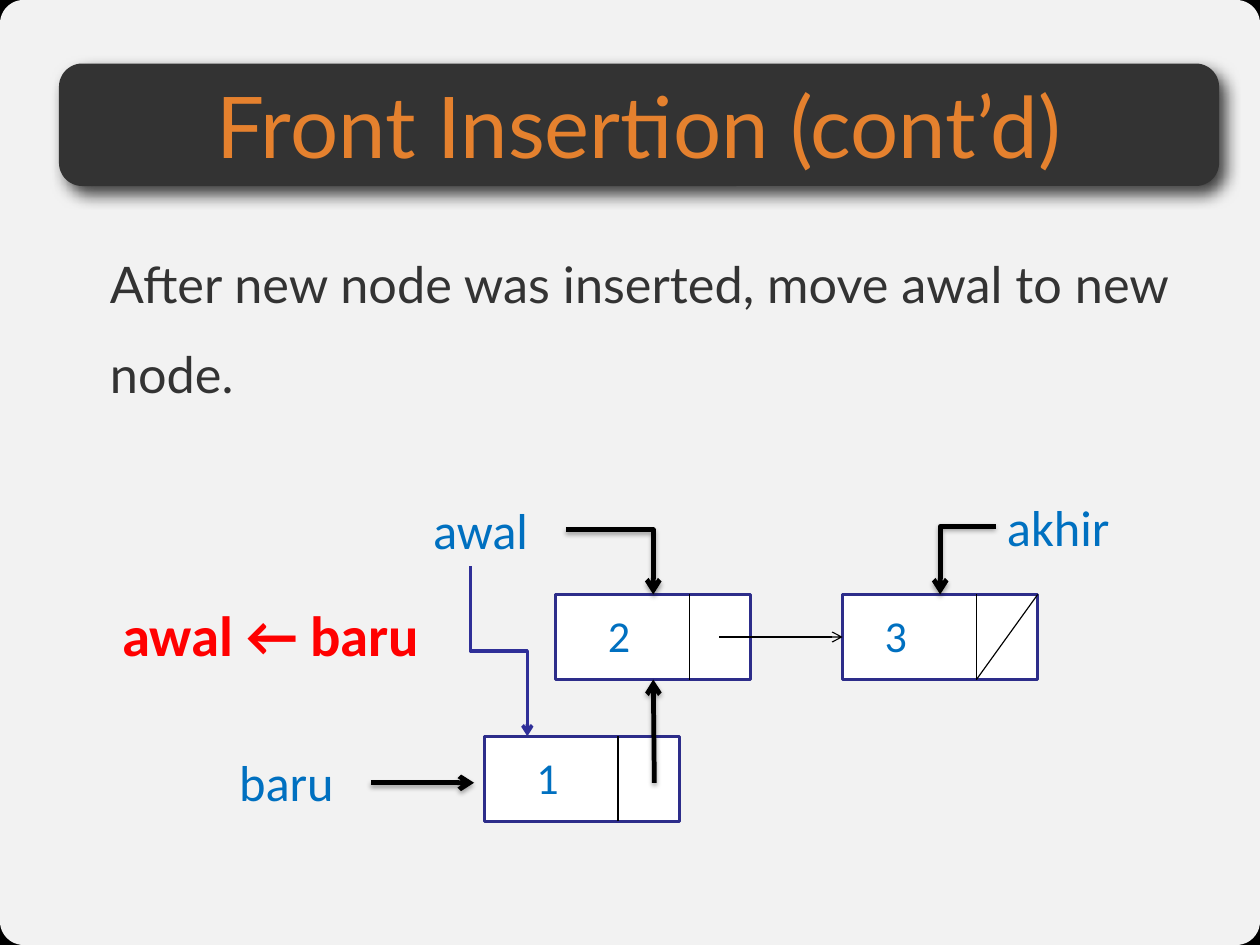
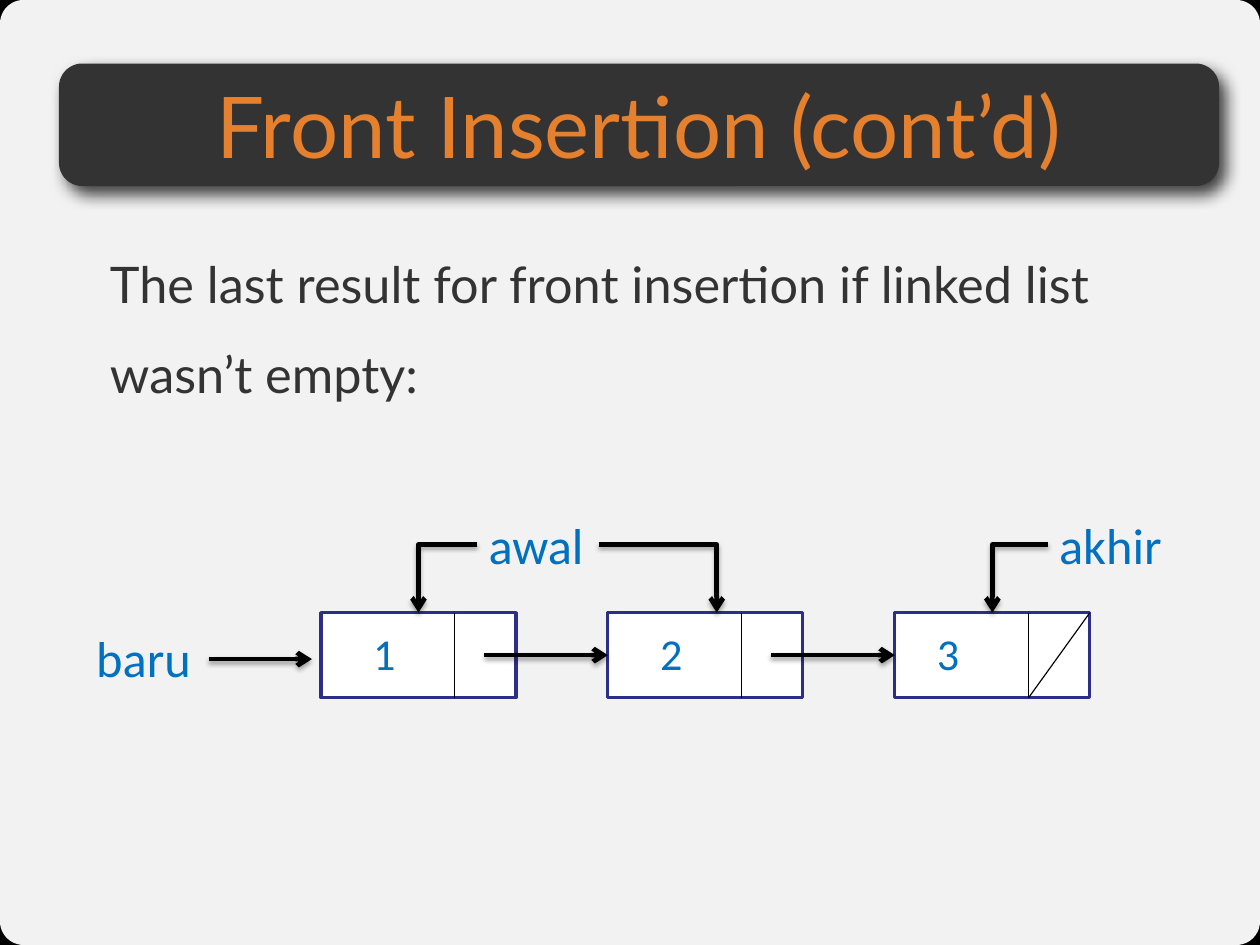
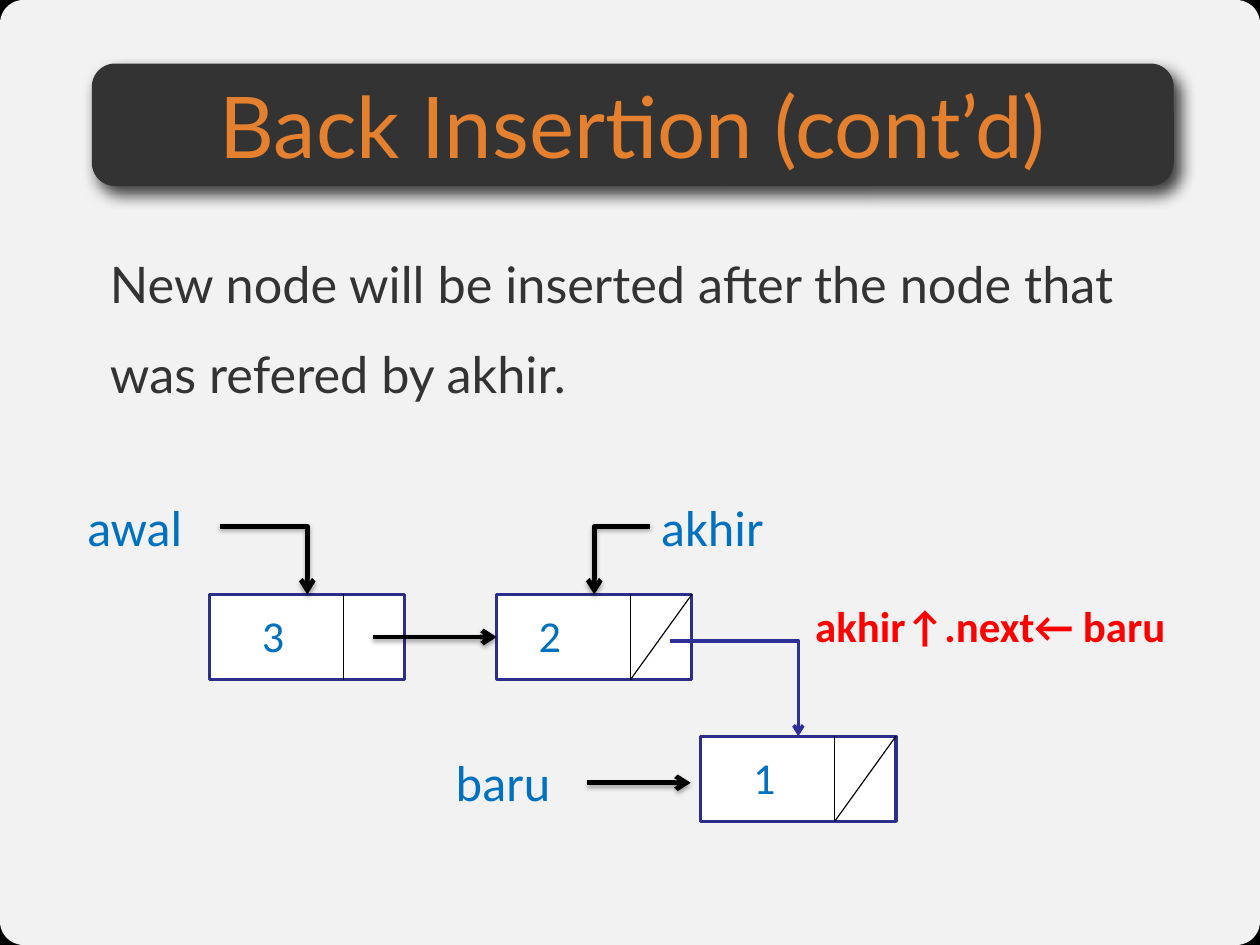
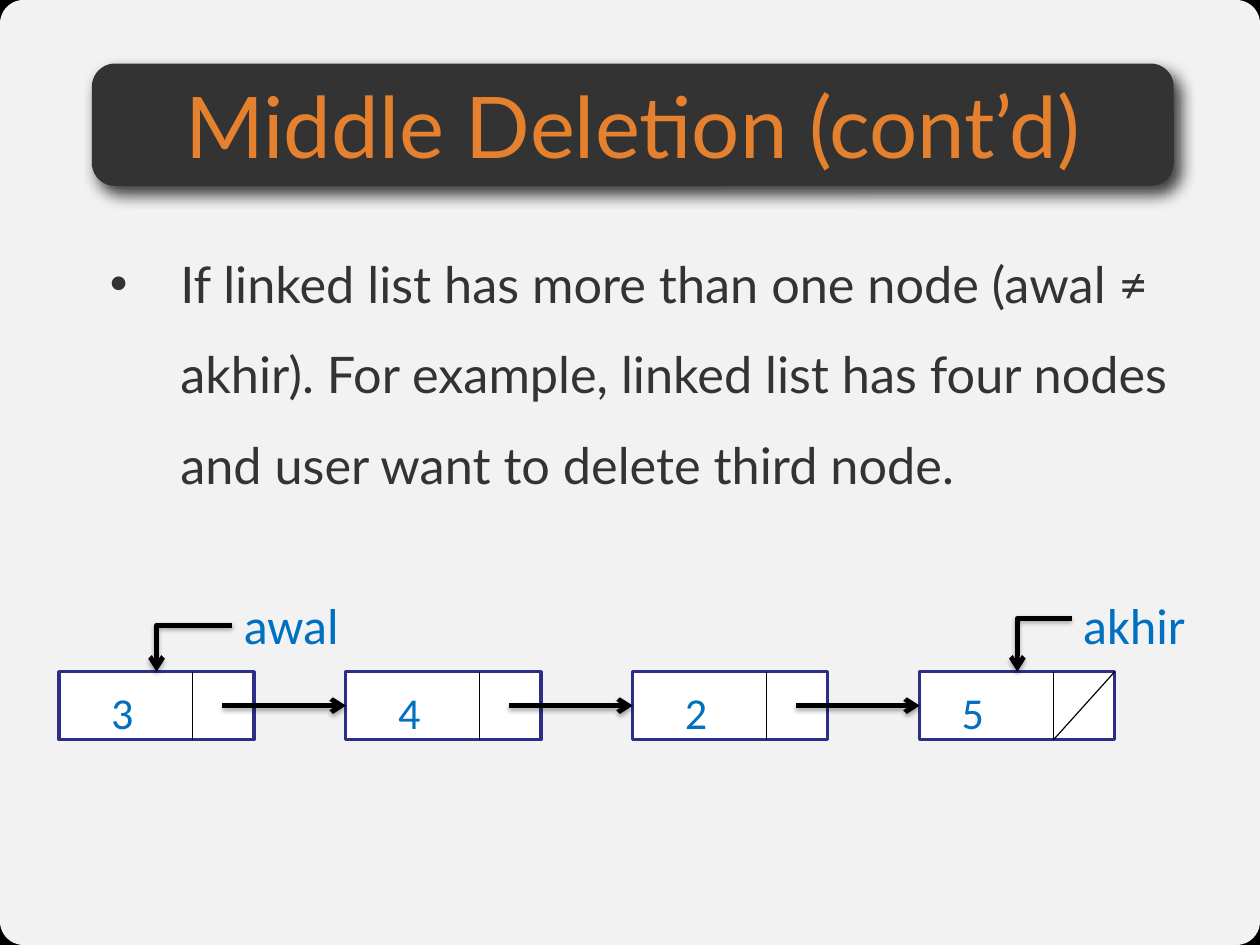
from dataclasses import dataclass

from lxml import etree
from pptx import Presentation
from pptx.dml.color import RGBColor as RGB
from pptx.enum.shapes import MSO_CONNECTOR as CXN, MSO_SHAPE as SHAPE
from pptx.enum.text import MSO_ANCHOR as ANCHOR, PP_ALIGN as ALIGN
from pptx.oxml.ns import qn
from pptx.util import Inches, Pt


@dataclass(frozen=True)
class Theme:
    # colours
    backdrop: str = "000000"
    panel: str = "FFFFFF"
    band: str = "333333"
    title: str = "E5812E"
    body: str = "333333"
    label: str = "0070C0"
    code: str = "FF0000"
    ink: str = "000000"
    node_line: str = "2D2D8A"
    new_link: str = "2F2F98"
    # fonts and type sizes
    head_font: str = "Lato"
    label_font: str = "Calibri"
    title_pt: float = 54
    body_pt: float = 32
    label_pt: float = 32
    value_pt: float = 28
    # line widths
    thin: float = 0.75
    node_pt: float = 2
    new_pt: float = 2.25
    thick: float = 3
    # shadows: opacity %, blur pt, distance pt, angle
    band_shadow: tuple = (75, 10, 6, 51)
    arrow_shadow: tuple = (35, 3.1, 1.8, 90)


T = Theme()
SLIDE_W, SLIDE_H = 11.11, 8.33
NODE_W, NODE_H, PITCH = 1.72, 0.75, 2.53
DIVIDER, LINK_START = 1.18, 1.44
LABEL_MID = 0.32  # text box top to the height of its arrow

VALUE = {"name": T.label_font, "size": Pt(T.value_pt)}
LABEL = {"name": T.label_font, "size": Pt(T.label_pt)}
BODY = {"name": T.head_font, "size": Pt(T.body_pt)}
TITLE = {"name": T.head_font, "size": Pt(T.title_pt)}
CODE = {"name": T.label_font, "bold": True}


# Formatting helpers
def apply(obj, values):
    for name, value in values.items():
        setattr(obj, name, value)


def margins(left=0.0, top=0.0):
    return {"margin_left": Inches(left), "margin_top": Inches(top),
            "margin_right": 0, "margin_bottom": 0}


def write(tf, text, color, font, **frame):
    apply(tf, {"word_wrap": True, **frame})
    p = tf.paragraphs[0]
    p.alignment = ALIGN.LEFT
    r = p.add_run()
    r.text = text
    apply(r.font, font)
    r.font.color.rgb = RGB.from_string(color)
    return p


def add_effects(sp, shadow=None):
    """Replace the inherited shadow by the given one, or by none."""
    effects = etree.SubElement(sp.element.spPr, qn("a:effectLst"))
    if shadow:
        opacity, blur, dist, angle = shadow
        outer = etree.SubElement(
            effects, qn("a:outerShdw"), blurRad=str(Pt(blur)), dist=str(Pt(dist)),
            dir=str(angle * 60000), algn="ctr", rotWithShape="0")
        clr = etree.SubElement(outer, qn("a:srgbClr"), val=T.ink)
        etree.SubElement(clr, qn("a:alpha"), val=str(opacity * 1000))


# Shapes and text
def add_box(s, kind, x, y, w, h, fill, line=None, shadow=None):
    sp = s.shapes.add_shape(kind, *map(Inches, (x, y, w, h)))
    sp.fill.solid()
    sp.fill.fore_color.rgb = RGB.from_string(fill)
    if line:
        sp.line.color.rgb = RGB.from_string(line)
        sp.line.width = Pt(T.node_pt)
    else:
        sp.line.fill.background()
    add_effects(sp, shadow)
    return sp


def add_text(s, text, x, y, w=1.26, h=0.64, color=T.label, font=LABEL, **frame):
    tb = s.shapes.add_textbox(*map(Inches, (x, y, w, h)))
    return write(tb.text_frame, text, color, font, **frame)


def add_code(s, text, x, w, size):
    add_text(s, text, x, 5.24, w, 0.75, T.code, {**CODE, "size": Pt(size)})


# Lines and arrows
def format_line(cxn, color, width, arrow, shadow):
    cxn.line.color.rgb = RGB.from_string(color)
    cxn.line.width = Pt(width)
    if arrow:
        ln = cxn.element.spPr.find(qn("a:ln"))
        etree.SubElement(ln, qn("a:tailEnd"), type="arrow")
    add_effects(cxn, shadow)


def add_line(s, x1, y1, x2, y2, width=T.thin, arrow=False):
    cxn = s.shapes.add_connector(CXN.STRAIGHT, *map(Inches, (x1, y1, x2, y2)))
    format_line(cxn, T.ink, width, arrow, T.arrow_shadow if width == T.thick else None)
    return cxn


def add_elbow(s, x1, y1, x2, y2, new=False, down_first=False):
    """Arrow that runs sideways then down, or down, sideways and down again."""
    left, top, w, h = min(x1, x2), y1, abs(x2 - x1), y2 - y1
    turn = {"rot": str(180 * 60000), "flipV": "1"} if x2 < x1 else {}
    if down_first:
        left, top, w, h = left + (w - h) / 2, top + (h - w) / 2, h, w
        turn = {"rot": str(270 * 60000), "flipH": "1"}
    cxn = s.shapes.add_connector(CXN.ELBOW, *map(Inches, (left, top, left + w, top + h)))
    spPr = cxn.element.spPr
    for name, value in turn.items():
        spPr.find(qn("a:xfrm")).set(name, value)
    if not down_first:
        spPr.find(qn("a:prstGeom")).set("prst", "bentConnector2")
    if new:
        format_line(cxn, T.new_link, T.new_pt, True, None)
    else:
        format_line(cxn, T.ink, T.thick, True, T.arrow_shadow)


# Linked list parts
def add_node(s, value, x, y, h=NODE_H, last=False, inset=0.46):
    node = add_box(s, SHAPE.RECTANGLE, x, y, NODE_W, h, T.panel, T.node_line)
    write(node.text_frame, value, T.label, VALUE,
          vertical_anchor=ANCHOR.TOP, **margins(inset, 0.12))
    add_line(s, x + DIVIDER, y, x + DIVIDER, y + h)
    if last:
        add_line(s, x + NODE_W, y, x + DIVIDER, y + h)
    return node


def add_list(s, values, x, y, h=NODE_H, width=T.thick):
    """Row of linked nodes, the last one with an empty link."""
    nodes = []
    for i, value in enumerate(values):
        last = i == len(values) - 1
        nodes.append(add_node(s, value, x + i * PITCH, y, h, last, 0.37 if last else 0.46))
    for i, target in enumerate(nodes[1:]):
        mid = y + h / 2
        link = add_line(s, x + i * PITCH + LINK_START, mid, x + (i + 1) * PITCH, mid,
                        width, True)
        link.end_connect(target, 1)
    return nodes


def add_pointer(s, text, x, y, node_x, node_y, start=0.0, mid=LABEL_MID):
    """Label with an elbow arrow to the top of a node."""
    add_text(s, text, x, y)
    add_elbow(s, x + start, y + mid, node_x + NODE_W / 2, node_y)


def add_baru(s, x, y, start=1.26):
    add_text(s, "baru", x, y)
    add_line(s, x + start, y + 0.33, x + start + 0.91, y + 0.33, T.thick, True)


# What all slides share
def add_slide(prs, title, body, band_x, band_w, bullet=False):
    s = prs.slides.add_slide(prs.slide_layouts[6])
    panel = add_box(s, SHAPE.ROUNDED_RECTANGLE, 0, 0, SLIDE_W, SLIDE_H, T.panel)
    panel.adjustments[0] = 0.025
    clr = panel.element.spPr.find(qn("a:solidFill")).find(qn("a:srgbClr"))
    etree.SubElement(clr, qn("a:alpha"), val="95000")

    p = add_text(s, body, 0.97, 1.96, 9.56, 5.59, T.body, BODY, **margins())
    p.line_spacing = 1.5
    if bullet:
        pPr = p._p.get_or_add_pPr()
        indent = Inches(0.62)
        pPr.set("marL", str(indent))
        pPr.set("indent", str(-indent))
        etree.SubElement(pPr, qn("a:buFont"), typeface="Arial")
        etree.SubElement(pPr, qn("a:buChar"), char="•")

    band = add_box(s, SHAPE.ROUNDED_RECTANGLE, band_x, 0.56, band_w, 1.08, T.band,
                   shadow=T.band_shadow)
    band.adjustments[0] = 0.19
    p = write(band.text_frame, title, T.title, TITLE,
              vertical_anchor=ANCHOR.MIDDLE, **margins())
    p.alignment = ALIGN.CENTER
    return s


# Slides
def front_move(prs):
    s = add_slide(prs, "Front Insertion (cont’d)",
                  "After new node was inserted, move awal to new node.", 0.52, 10.23)
    x, y, new_y = 4.9, 5.24, 6.49
    add_elbow(s, 4.15, 4.99, 4.65, new_y, new=True, down_first=True)
    first, _ = add_list(s, "23", x, y, width=T.thin)
    add_node(s, "1", 4.27, new_y)
    add_baru(s, 2.01, 6.57)
    add_pointer(s, "awal", 3.72, 4.35, x, y, start=1.27)
    add_pointer(s, "akhir", 8.78, 4.32, x + PITCH, y)
    up = add_line(s, 5.77, 6.9, x + NODE_W / 2, y + NODE_H, T.thick, True)
    up.end_connect(first, 2)
    add_code(s, "awal ← baru", 0.98, 3.17, 36)


def front_result(prs):
    s = add_slide(prs, "Front Insertion (cont’d)",
                  "The last result for front insertion if linked list wasn’t empty:",
                  0.52, 10.23)
    x, y, label_y = 2.83, 5.4, 4.48
    add_list(s, "123", x, y)
    add_baru(s, 0.75, 5.48, start=1.09)
    add_pointer(s, "awal", 4.21, label_y, x, y)
    add_elbow(s, 5.28, label_y + LABEL_MID, 6.32, y)
    add_pointer(s, "akhir", 9.24, label_y, x + 2 * PITCH, y)


def back_insert(prs):
    s = add_slide(prs, "Back Insertion (cont’d)",
                  "New node will be inserted after the node that was refered by akhir.",
                  0.81, 9.54)
    x, y, new_x, new_y, label_y = 1.85, 5.24, 6.18, 6.49, 4.32
    add_node(s, "1", new_x, new_y, last=True)
    add_baru(s, 3.92, 6.57)
    add_list(s, "32", x, y)
    add_pointer(s, "awal", 0.67, label_y, x, y, start=1.27)
    add_pointer(s, "akhir", 5.73, label_y, x + PITCH, y)
    add_code(s, "akhir↑.next← baru", 7.09, 3.67, 27.2)
    add_elbow(s, 5.91, 5.65, new_x + NODE_W / 2, new_y, new=True)


def middle_delete(prs):
    s = add_slide(prs, "Middle Deletion (cont’d)",
                  "If linked list has more than one node (awal ≠ akhir). For example, "
                  "linked list has four nodes and user want to delete third node.",
                  0.81, 9.54, bullet=True)
    x, y, label_y = 0.52, 5.92, 5.19
    add_list(s, "3425", x, y, h=0.6)
    add_pointer(s, "awal", 2.05, label_y, x, y)
    add_pointer(s, "akhir", 9.45, label_y, x + 3 * PITCH, y, mid=0.26)


def main():
    prs = Presentation()
    prs.slide_width, prs.slide_height = Inches(SLIDE_W), Inches(SLIDE_H)
    fill = prs.slide_master.background.fill
    fill.solid()
    fill.fore_color.rgb = RGB.from_string(T.backdrop)
    for build in (front_move, front_result, back_insert, middle_delete):
        build(prs)
    prs.save("out.pptx")


if __name__ == "__main__":
    main()
